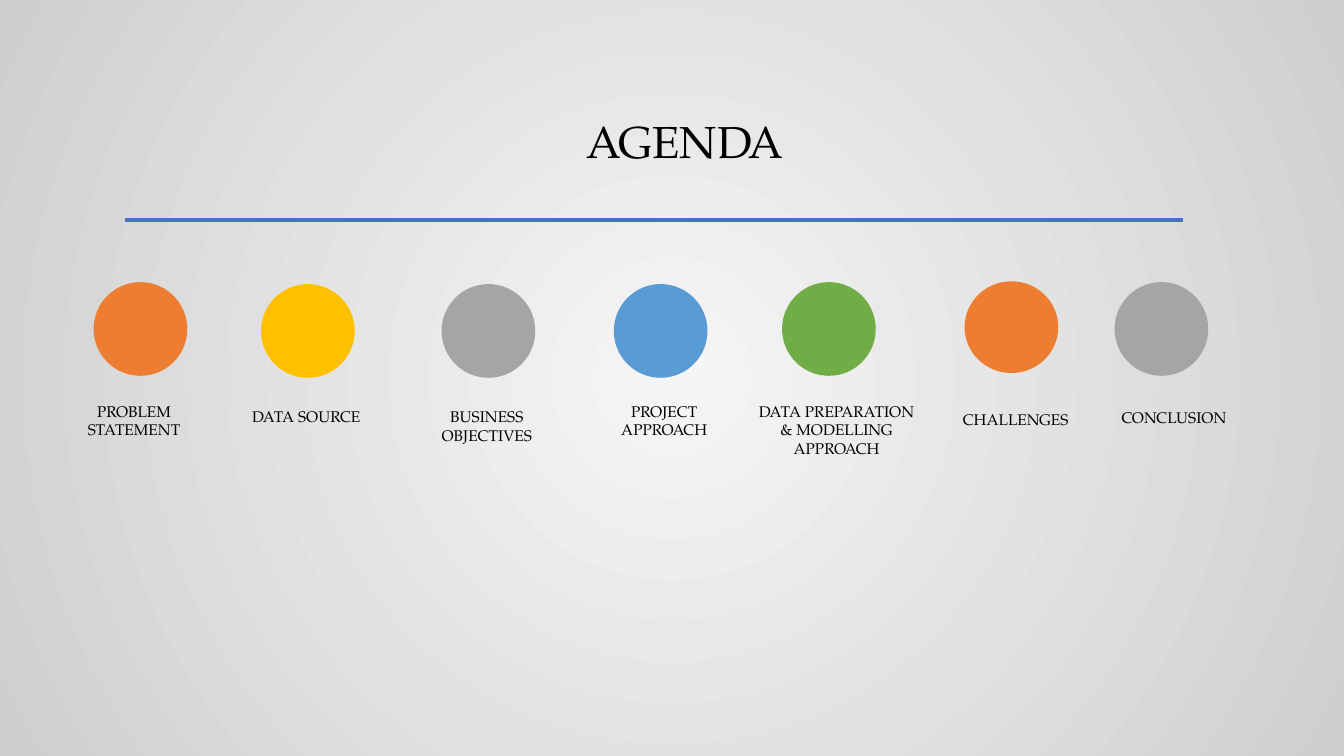
import pptx
import pptx.dml.color
import pptx.enum.shapes
import pptx.enum.text
import pptx.oxml
import pptx.oxml.ns
import pptx.util
from pptx.util import Cm

FONT = "TeX Gyre Pagella"
COLOURS = {
    "centre": "F5F5F5",
    "edge": "D0CFCF",
    "text": "000000",
    "rule": "4472C4",
    "orange": "ED7D31",
    "yellow": "FFC000",
    "grey": "A5A5A5",
    "blue": "599BD5",
    "green": "70AD47",
}
CIRCLE_SIZE = 2.36
LABEL_HEIGHT = 1.55

# label, colour, circle left and top, circle height, label left, top and width
AGENDA = [
    ("PROBLEM STATEMENT", "orange", 2.36, 7.11, CIRCLE_SIZE, 1.45, 10.13, 3.86),
    ("DATA SOURCE", "yellow", 6.58, 7.16, CIRCLE_SIZE, 5.79, 10.26, 3.86),
    ("BUSINESS OBJECTIVES", "grey", 11.13, 7.16, CIRCLE_SIZE, 10.34, 10.26, 3.86),
    ("PROJECT APPROACH", "blue", 15.47, 7.16, CIRCLE_SIZE, 14.81, 10.13, 3.86),
    ("DATA PREPARATION & MODELLING APPROACH", "green", 19.71, 7.11, CIRCLE_SIZE, 19, 10.13, 4.17),
    ("CHALLENGES", "orange", 24.31, 7.09, 2.31, 23.67, 10.34, 3.86),
    ("CONCLUSION", "grey", 28.09, 7.11, CIRCLE_SIZE, 27.66, 10.29, 3.86),
]


def colour(name):
    return pptx.dml.color.RGBColor.from_string(COLOURS[name])


def set_radial_background(slide):
    fill = slide.background.fill
    fill.gradient()
    for stop, name in zip(fill.gradient_stops, ("centre", "edge")):
        stop.color.rgb = colour(name)
    qn = pptx.oxml.ns.qn
    linear = slide.element.find(".//" + qn("a:lin"))
    radial = pptx.oxml.parse_xml(
        f'<a:path {pptx.oxml.ns.nsdecls("a")} path="circle">'
        '<a:fillToRect l="50000" t="50000" r="50000" b="50000"/></a:path>'
    )
    linear.getparent().replace(linear, radial)


def add_text(shapes, text, left, top, width, height, size):
    box = shapes.add_textbox(Cm(left), Cm(top), Cm(width), Cm(height))
    frame = box.text_frame
    frame.word_wrap = True
    paragraph = frame.paragraphs[0]
    paragraph.text = text
    paragraph.alignment = pptx.enum.text.PP_ALIGN.CENTER
    paragraph.font.name = FONT
    paragraph.font.size = pptx.util.Pt(size)
    paragraph.font.color.rgb = colour("text")
    return frame


def add_title(slide):
    frame = add_text(slide.shapes, "AGENDA", 4.04, 1.45, 26.44, 2.92, 32)
    frame.vertical_anchor = pptx.enum.text.MSO_ANCHOR.BOTTOM
    frame.paragraphs[0].line_spacing = 0.9


def add_rule(slide):
    rule = slide.shapes.add_connector(
        pptx.enum.shapes.MSO_CONNECTOR.STRAIGHT, Cm(3.15), Cm(5.54), Cm(29.82), Cm(5.54)
    )
    rule.line.color.rgb = colour("rule")
    rule.line.width = pptx.util.Pt(2.5)
    effects = pptx.oxml.parse_xml(f'<a:effectLst {pptx.oxml.ns.nsdecls("a")}/>')
    rule.element.spPr.append(effects)


def add_agenda_item(slide, label, colour_name, left, top, height, label_left, label_top, label_width):
    group = slide.shapes.add_group_shape()
    circle = group.shapes.add_shape(
        pptx.enum.shapes.MSO_SHAPE.OVAL, Cm(left), Cm(top), Cm(CIRCLE_SIZE), Cm(height)
    )
    circle.shadow.inherit = False
    circle.fill.solid()
    circle.fill.fore_color.rgb = colour(colour_name)
    circle.line.fill.background()
    frame = add_text(group.shapes, label, label_left, label_top, label_width, LABEL_HEIGHT, 11)
    frame.margin_left = frame.margin_right = frame.margin_top = frame.margin_bottom = 0


def main():
    presentation = pptx.Presentation()
    presentation.slide_width = Cm(33.87)
    presentation.slide_height = Cm(19.05)
    slide = presentation.slides.add_slide(presentation.slide_layouts[6])
    set_radial_background(slide)
    add_title(slide)
    add_rule(slide)
    for item in AGENDA:
        add_agenda_item(slide, *item)
    presentation.save("out.pptx")


if __name__ == "__main__":
    main()
